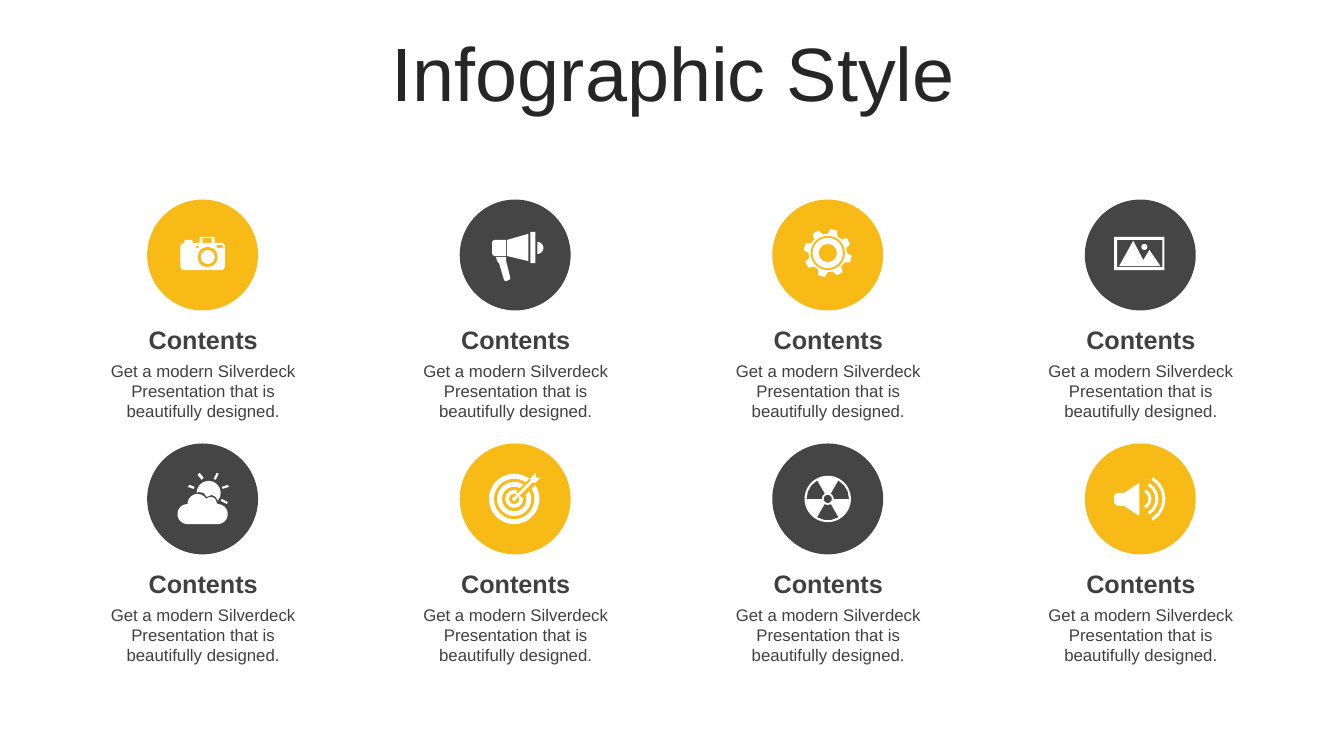
from dataclasses import dataclass
from math import ceil, cos, radians, sin

from pptx import Presentation
from pptx.dml.color import RGBColor
from pptx.enum.shapes import MSO_SHAPE
from pptx.enum.text import MSO_ANCHOR, MSO_AUTO_SIZE, PP_ALIGN
from pptx.util import Emu, Pt

OVAL = MSO_SHAPE.OVAL
CENTER = PP_ALIGN.CENTER
MIDDLE = MSO_ANCHOR.MIDDLE
FIT_SHAPE = MSO_AUTO_SIZE.SHAPE_TO_FIT_TEXT

EMU_PER_PX = 9144  # 100 px to the inch
FONT = "Arial"
YELLOW, CHARCOAL, WHITE = "F8BA16", "454545", "FFFFFF"
TITLE_COLOR, TEXT_COLOR = "262626", "404040"

# Grid of badges
FIRST_X, FIRST_Y = 201, 253
PITCH_X, PITCH_Y = 310, 242
COLUMNS = 4
BADGE_RADIUS = 55
TEXT_WIDTH = 239

HEADING = "Contents"
DESCRIPTION = "Get a modern Silverdeck Presentation that is beautifully designed."

Point = tuple[float, float]
Contour = list[Point]


@dataclass
class Disc:
    x: int
    y: int
    radius: int
    cut: bool = False  # a cut part shows the badge colour


@dataclass
class Outline:
    contours: list[Contour]
    cut: bool = False


@dataclass
class Topic:
    color: str
    icon: list[Disc | Outline]


@dataclass
class TextStyle:
    size: int
    color: str = TEXT_COLOR
    bold: bool = False


def px(length: float) -> Emu:
    return Emu(round(length * EMU_PER_PX))


def rgb(color: str) -> RGBColor:
    return RGBColor.from_string(color)


# Outline helpers; angles run clockwise from the right
def polar(x: int, y: int, radius: int, angle: float) -> Point:
    return x + radius * cos(radians(angle)), y + radius * sin(radians(angle))


def arc(x: int, y: int, radius: int, start: int, end: int) -> Contour:
    steps = ceil(abs(end - start) / 22)
    return [polar(x, y, radius, start + (end - start) * i / steps)
            for i in range(steps + 1)]


def band(inner: int, outer: int, start: int, end: int) -> Contour:
    return arc(0, 0, outer, start, end) + arc(0, 0, inner, end, start)


def box(left: int, top: int, right: int, bottom: int) -> Contour:
    return [(left, top), (right, top), (right, bottom), (left, bottom)]


def rings(x: int, y: int, *radii: int) -> list[Disc]:
    """Nested discs, alternately white and cut."""
    return [Disc(x, y, radius, cut=i % 2 == 1) for i, radius in enumerate(radii)]


# Icons, in px from the badge centre; a contour inside another is a hole
CAMERA = [
    Outline([
        [(-18, -12), (-18, -14), (-17, -15), (-11, -15), (-10, -14), (-10, -12),
         (-3, -12), (-3, -17), (-2, -18), (11, -18), (12, -17), (12, -12),
         (19, -12), (21, -11), (22, -9), (22, 12), (21, 14), (19, 15),
         (-18, 15), (-21, 14), (-22, 12), (-22, -9), (-21, -11)],
        box(0, -17, 9, -12),
        box(14, -10, 20, -7),
        box(-7, -9, -4, -7),
    ]),
    Disc(5, 2, 10, cut=True),
    Disc(5, 2, 7),
]

MEGAPHONE = [Outline([
    [(-21, -15), (-9, -15), (-9, 1), (-21, 1), (-23, -1), (-23, -13)],
    [(13, -21), (13, 6), (-8, 1), (-8, -15)],
    box(15, -23, 20, 8),
    arc(22, -7, 6, -90, 90),
    [(-19, 2), (-9, 2), (-9, 6), (-5, 22), (-5, 24), (-9, 26),
     (-11, 25), (-16, 8), (-18, 6)],
])]

TOOTH = ((19, -15), (24, -8), (24, 8), (19, 15))
GEAR = [
    Outline([[polar(0, -2, radius, -75 + 45 * tooth + turn)
              for tooth in range(8) for radius, turn in TOOTH]]),
    Disc(0, -2, 17, cut=True),
    *rings(0, -2, 15, 9),
]

LANDSCAPE = [
    Outline([
        box(-26, -18, 24, 15),
        box(-23, -15, 22, 12),
        [(-7, -14), (3, 5), (9, -5), (20, 11), (-21, 11)],
    ]),
    Disc(4, -8, 3),
]

WEATHER = [Outline([
    arc(15, 15, 10, -90, 90) + arc(-15, 15, 10, 90, 270)
    + arc(-5, 5, 10, 190, 330) + arc(8, 4, 6, 230, 360),
    arc(6, -6, 12, 180, 400) + [(13, -2), (9, -4), (4, -2), (1, -6), (-4, -7)],
    [(14, -26), (16, -25), (13, -19), (11, -20)],
    [(-3, -26), (1, -21), (-1, -19), (-5, -24)],
    [(25, -14), (26, -12), (20, -10), (19, -12)],
    [(-13, -14), (-8, -12), (-9, -10), (-15, -12)],
    [(19, 0), (25, 3), (24, 5), (18, 2)],
])]

TARGET = [
    *rings(-1, 0, 25, 20, 17, 12, 9, 5),
    Outline([[(1, -7), (18, -24), (24, -18), (7, -1)]], cut=True),
    Disc(-1, 0, 2),
    Outline([[(20, -26), (21, -21), (25, -21), (20, -16), (17, -16),
              (1, 0), (-1, -2), (15, -18), (15, -20)]]),
]

RADIATION = [
    Disc(0, 0, 23),
    Outline([band(6, 21, start, start + 60) for start in (60, 180, 300)], cut=True),
    Disc(0, 0, 4, cut=True),
]

SPEAKER = [Outline([
    [(-1, -16), (-1, 17), (-16, 7), (-23, 7), (-26, 4), (-26, -3), (-23, -6), (-16, -6)],
    *(band(inner, inner + 3, -60, 60) for inner in (8, 15, 22)),
])]

TOPICS = [
    Topic(YELLOW, CAMERA), Topic(CHARCOAL, MEGAPHONE),
    Topic(YELLOW, GEAR), Topic(CHARCOAL, LANDSCAPE),
    Topic(CHARCOAL, WEATHER), Topic(YELLOW, TARGET),
    Topic(CHARCOAL, RADIATION), Topic(YELLOW, SPEAKER),
]


def paint(shape, color: str) -> None:
    shape.shadow.inherit = False
    shape.fill.solid()
    shape.fill.fore_color.rgb = rgb(color)
    shape.line.fill.background()


def add_text(slide, text: str, left: int, top: int, width: int, height: int,
             style: TextStyle):
    frame = slide.shapes.add_textbox(px(left), px(top), px(width), px(height)).text_frame
    frame.word_wrap = True
    frame.text = text
    paragraph = frame.paragraphs[0]
    paragraph.alignment = CENTER
    font = paragraph.runs[0].font
    font.name, font.size, font.bold = FONT, Pt(style.size), style.bold
    font.color.rgb = rgb(style.color)
    return frame


def add_disc(slide, x: int, y: int, radius: int, color: str) -> None:
    size = px(2 * radius)
    paint(slide.shapes.add_shape(OVAL, px(x - radius), px(y - radius), size, size), color)


def add_outline(slide, contours: list[Contour], x: int, y: int, color: str) -> None:
    first, *others = [[(px(x + dx), px(y + dy)) for dx, dy in c] for c in contours]
    builder = slide.shapes.build_freeform(*first[0])
    builder.add_line_segments(first[1:])
    for contour in others:
        builder.move_to(*contour[0])
        builder.add_line_segments(contour[1:])
    paint(builder.convert_to_shape(), color)


def add_topic(slide, topic: Topic, x: int, y: int) -> None:
    add_disc(slide, x, y, BADGE_RADIUS, topic.color)
    for part in topic.icon:
        color = topic.color if part.cut else WHITE
        if isinstance(part, Disc):
            add_disc(slide, x + part.x, y + part.y, part.radius, color)
        else:
            add_outline(slide, part.contours, x, y, color)
    for text, drop, height, style in ((HEADING, 64, 40, TextStyle(18, bold=True)),
                                      (DESCRIPTION, 100, 71, TextStyle(12))):
        frame = add_text(slide, text, x - TEXT_WIDTH // 2, y + drop, TEXT_WIDTH, height, style)
        frame.auto_size = FIT_SHAPE


deck = Presentation()
deck.slide_width, deck.slide_height = px(1333), px(750)
slide = deck.slides.add_slide(deck.slide_layouts[6])
title = add_text(slide, "Infographic Style", 35, 37, 1266, 79, TextStyle(54, TITLE_COLOR))
title.vertical_anchor = MIDDLE
title.paragraphs[0].line_spacing = 0.9
for index, topic in enumerate(TOPICS):
    row, column = divmod(index, COLUMNS)
    add_topic(slide, topic, FIRST_X + column * PITCH_X, FIRST_Y + row * PITCH_Y)
deck.save("out.pptx")
